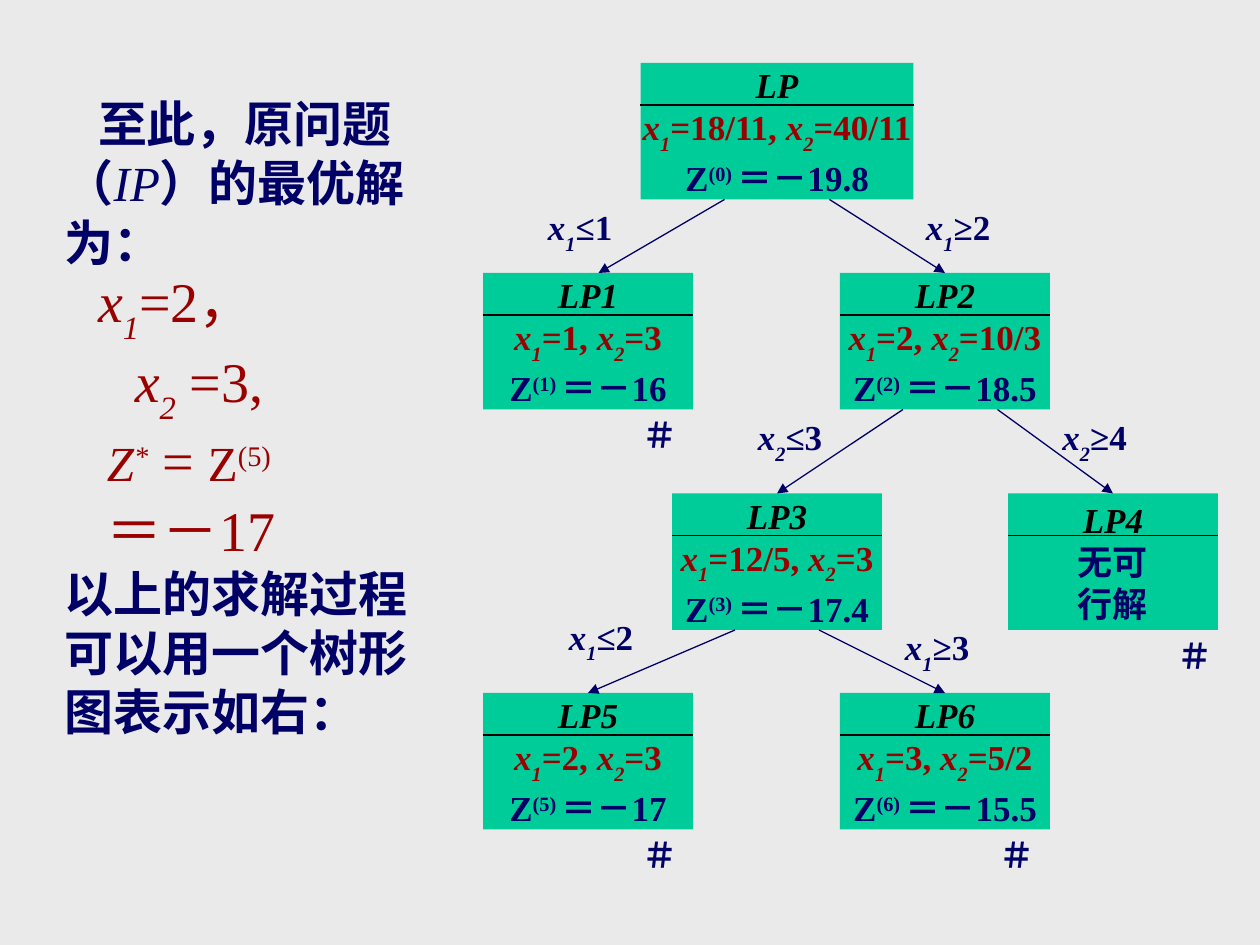
"""Build a slide showing a branch-and-bound tree beside its optimal solution."""

from typing import Any, NamedTuple, Optional

import pptx
import pptx.dml.color
import pptx.enum.shapes
import pptx.enum.text
import pptx.oxml.ns
import pptx.util
from lxml import etree

Pt = pptx.util.Pt
RGBColor = pptx.dml.color.RGBColor

BACKGROUND = RGBColor(0xEA, 0xEA, 0xEA)
GREEN = RGBColor(0x00, 0xCC, 0x99)
NAVY = RGBColor(0x00, 0x00, 0x66)
RED = RGBColor(0x99, 0x00, 0x00)
BLACK = RGBColor(0x00, 0x00, 0x00)

SERIF = "Times New Roman"
CHINESE = "Noto Sans CJK SC"
NODE_HEIGHT = 78
HEADER_HEIGHT = 24


class Node(NamedTuple):
    name: str
    left: float
    top: float
    values: tuple[str, ...] = ()
    objective: tuple[str, ...] = ()
    mark_inset: Optional[float] = None
    width: float = 120


class Branch(NamedTuple):
    start: tuple[float, float]
    child: str
    variable: str
    condition: str
    label: tuple[float, float]
    end_shift: float = 0


NODES = [
    Node("LP", 366, 36, ("18/11", "40/11"), ("0", "19.8"), width=156),
    Node("LP1", 276, 156, ("1", "3"), ("1", "16"), 36),
    Node("LP2", 480, 156, ("2", "10/3"), ("2", "18.5")),
    Node("LP3", 384, 282, ("12/5", "3"), ("3", "17.4")),
    Node("LP4", 576, 282, mark_inset=30),
    Node("LP5", 276, 396, ("2", "3"), ("5", "17"), 36),
    Node("LP6", 480, 396, ("3", "5/2"), ("6", "15.5"), 36),
]
BRANCHES = [
    Branch((414, 114), "LP1", "1", "≤1", (306, 114), 6),
    Branch((474, 114), "LP2", "1", "≥2", (522, 114)),
    Branch((516, 234), "LP3", "2", "≤3", (426, 234)),
    Branch((570, 234), "LP4", "2", "≥4", (600, 234)),
    Branch((420, 360), "LP5", "1", "≤2", (318, 348)),
    Branch((468, 360), "LP6", "1", "≥3", (510, 354)),
]


def write(paragraph: Any, text: str, *, size: float = 20, color: RGBColor = NAVY,
          bold: bool = True, italic: bool = False, font: str = SERIF,
          baseline: int = 0) -> None:
    """Append one formatted run; baseline is a percentage."""
    run = paragraph.add_run()
    run.text = text
    run.font.size = Pt(size)
    run.font.color.rgb = color
    run.font.bold = bold
    run.font.italic = italic
    run.font.name = font
    properties = run.font._element
    if baseline:
        properties.set("baseline", str(baseline * 1000))
    east_asian = etree.SubElement(properties, pptx.oxml.ns.qn("a:ea"))
    east_asian.set("typeface", CHINESE)


def write_variable(paragraph: Any, index: str, rest: str, **style: Any) -> None:
    """Append x with a subscript, then the rest upright."""
    write(paragraph, "x", italic=True, **style)
    write(paragraph, index, italic=True, baseline=-30, **style)
    write(paragraph, rest, **style)


def next_paragraph(frame: Any, line_height: Optional[float] = None,
                   indent: float = 0, centered: bool = False) -> Any:
    """Return the empty first paragraph or a new one, laid out."""
    paragraph = frame.paragraphs[0]
    if paragraph.runs:
        paragraph = frame.add_paragraph()
    if indent:
        paragraph._p.get_or_add_pPr().set("indent", str(Pt(indent)))
    if line_height:
        paragraph.line_spacing = Pt(line_height)
    if centered:
        paragraph.alignment = pptx.enum.text.PP_ALIGN.CENTER
    return paragraph


def add_text_frame(slide: Any, left: float, top: float, width: float,
                   height: float, wrap: bool = True) -> Any:
    """Add a text box and return its text frame."""
    box = slide.shapes.add_textbox(Pt(left), Pt(top), Pt(width), Pt(height))
    box.text_frame.word_wrap = wrap
    return box.text_frame


def add_line(slide: Any, start: tuple[float, float], end: tuple[float, float],
             color: RGBColor, arrow: bool = False) -> Any:
    """Add a thin straight connector, with an arrowhead on request."""
    line = slide.shapes.add_connector(
        pptx.enum.shapes.MSO_CONNECTOR.STRAIGHT,
        Pt(start[0]), Pt(start[1]), Pt(end[0]), Pt(end[1]))
    line.line.color.rgb = color
    line.line.width = Pt(0.75)
    if arrow:
        head = etree.SubElement(line.line._get_or_add_ln(), pptx.oxml.ns.qn("a:tailEnd"))
        head.set("type", "triangle")
    etree.SubElement(line._element.spPr, pptx.oxml.ns.qn("a:effectLst"))
    return line


def add_node(slide: Any, node: Node) -> Any:
    """Draw one subproblem with its header rule and optional end mark."""
    shape = slide.shapes.add_shape(
        pptx.enum.shapes.MSO_SHAPE.RECTANGLE,
        Pt(node.left), Pt(node.top), Pt(node.width), Pt(NODE_HEIGHT))
    shape.shadow.inherit = False
    shape.fill.solid()
    shape.fill.fore_color.rgb = GREEN
    shape.line.fill.background()
    frame = shape.text_frame
    frame.word_wrap = False
    frame.vertical_anchor = pptx.enum.text.MSO_ANCHOR.MIDDLE
    write(next_paragraph(frame, centered=True), node.name, color=BLACK, italic=True)
    if node.values:
        first, second = node.values
        paragraph = next_paragraph(frame, centered=True)
        write_variable(paragraph, "1", f"={first}, ", color=RED)
        write_variable(paragraph, "2", f"={second}", color=RED)
        index, value = node.objective
        paragraph = next_paragraph(frame, 25, centered=True)
        write(paragraph, "Z")
        write(paragraph, f"({index}) ", baseline=30)
        write(paragraph, f"＝－{value}")
    else:
        for text in ("无可", "行解"):
            write(next_paragraph(frame, 24, centered=True), text)

    rule = node.top + HEADER_HEIGHT
    right = node.left + node.width
    add_line(slide, (node.left, rule), (right, rule), BLACK)
    if node.mark_inset is not None:
        mark = add_text_frame(slide, right - node.mark_inset,
                              node.top + NODE_HEIGHT - 1, 34.6, 31.5, wrap=False)
        write(next_paragraph(mark, 24), "＃")
    return shape


def add_branch(slide: Any, branch: Branch, node: Node, shape: Any) -> None:
    """Draw the arrow to a child node and its condition."""
    end = (node.left + node.width / 2 + branch.end_shift, node.top)
    arrow = add_line(slide, branch.start, end, NAVY, arrow=True)
    if not branch.end_shift:
        arrow.end_connect(shape, 0)
    label = add_text_frame(slide, *branch.label, 67, 36)
    write_variable(next_paragraph(label), branch.variable, branch.condition)


def add_solution(slide: Any) -> None:
    """Write the optimal solution on the left."""
    frame = add_text_frame(slide, 30, 50, 216, 410)
    heading = {"size": 28, "font": CHINESE}
    result = {"size": 32, "color": RED, "bold": False}
    paragraph = next_paragraph(frame, 33.75, indent=19)
    write(paragraph, "至此，原问题（", **heading)
    write(paragraph, "IP", size=28, bold=False, italic=True)
    write(paragraph, "）的最优解为：", **heading)
    write_variable(next_paragraph(frame, 43, indent=19), "1", "=2，", **result)
    write_variable(next_paragraph(frame, 45.5, indent=40), "2", " =3,", **result)
    paragraph = next_paragraph(frame, 38, indent=24)
    smaller = {**result, "size": 28}
    write(paragraph, "Z", italic=True, **smaller)
    write(paragraph, "*", italic=True, baseline=30, **smaller)
    write(paragraph, " = ", **result)
    write(paragraph, "Z", **smaller)
    write(paragraph, "(5)", baseline=30, **smaller)
    write(next_paragraph(frame, 40.5, indent=24), "＝－17", **result)
    write(next_paragraph(frame, 33.75), "以上的求解过程可以用一个树形图表示如右：", **heading)


def main() -> None:
    """Build and save the presentation."""
    presentation = pptx.Presentation()
    presentation.slide_width, presentation.slide_height = Pt(720), Pt(540)
    slide = presentation.slides.add_slide(presentation.slide_layouts[6])
    slide.background.fill.solid()
    slide.background.fill.fore_color.rgb = BACKGROUND
    add_solution(slide)
    shapes = {node.name: add_node(slide, node) for node in NODES}
    nodes = {node.name: node for node in NODES}
    for branch in BRANCHES:
        add_branch(slide, branch, nodes[branch.child], shapes[branch.child])
    presentation.save("out.pptx")


if __name__ == "__main__":
    main()
